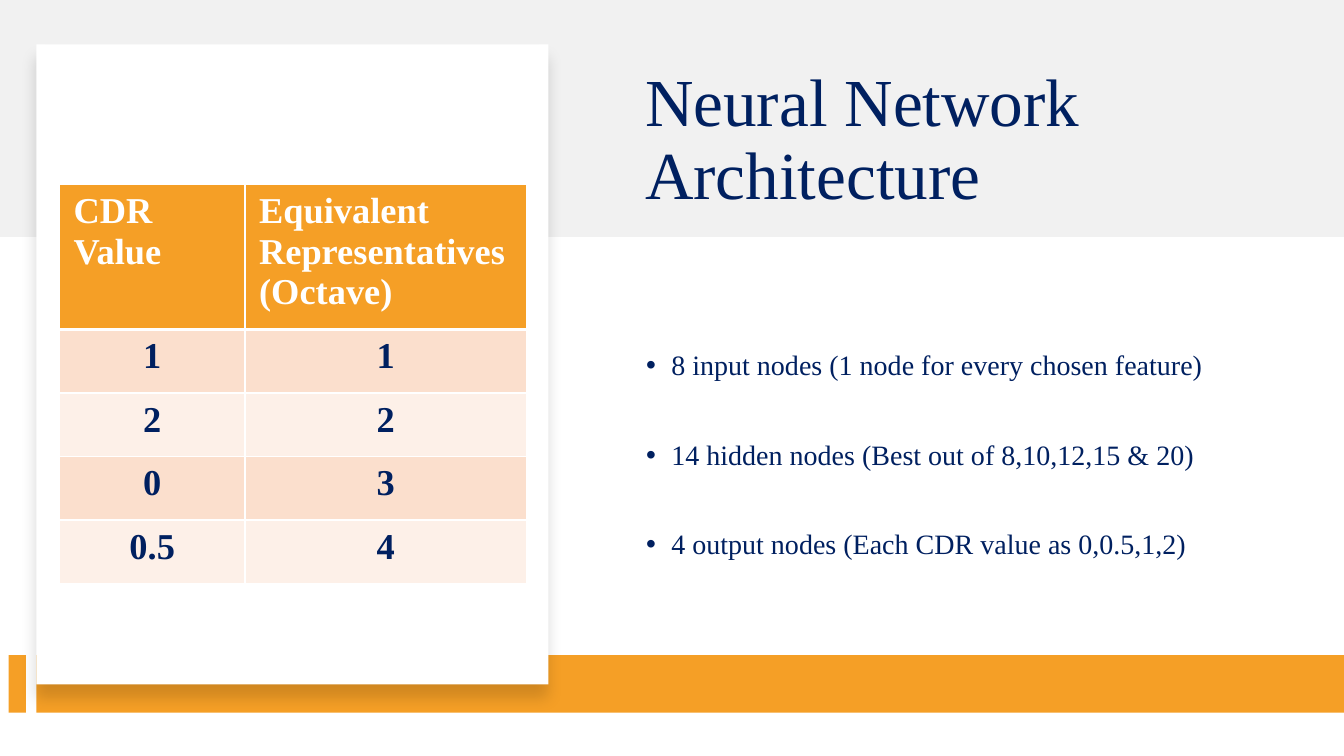
"""Build the neural network architecture slide."""
import pptx
import pptx.util
import pptx.dml.color
import pptx.enum.shapes
import pptx.enum.text
import pptx.oxml.ns
from lxml import etree

RGBColor = pptx.dml.color.RGBColor
ANCHOR = pptx.enum.text.MSO_ANCHOR
NAVY = RGBColor(0x00, 0x20, 0x60)
ORANGE = RGBColor(0xF5, 0x9F, 0x26)
PEACH = RGBColor(0xFB, 0xDF, 0xCD)
CREAM = RGBColor(0xFD, 0xF0, 0xE8)
GREY = RGBColor(0xD9, 0xD9, 0xD9)
WHITE = RGBColor(0xFF, 0xFF, 0xFF)
FONT = "Times New Roman"
WIDTH, HEIGHT = pptx.util.Inches(13.333), pptx.util.Inches(7.5)
COLUMNS = [13.8, 20.93]
ROWS = [17.73] + [8.4] * 4
CELLS = [
    ["CDR Value", "Equivalent Representatives (Octave)"],
    ["1", "1"],
    ["2", "2"],
    ["0", "3"],
    ["0.5", "4"],
]
NODES = [
    "8 input nodes (1 node for every chosen feature)",
    "14 hidden nodes (Best out of 8,10,12,15 & 20)",
    "4 output nodes (Each CDR value as 0,0.5,1,2)",
]


def across(percent):
    """Return a percentage of the slide width."""
    return round(WIDTH * percent / 100)


def down(percent):
    """Return a percentage of the slide height."""
    return round(HEIGHT * percent / 100)


def place(x, y, w, h):
    """Turn percentages into a left, top, width, height tuple."""
    return across(x), down(y), across(w), down(h)


def child(parent, tag, **attributes):
    """Append an XML element such as a:ln to a parent."""
    return etree.SubElement(parent, pptx.oxml.ns.qn(tag), attributes)


def style(p, size, color, bold=False):
    """Format the runs of a paragraph."""
    for r in p.runs:
        r.font.name = FONT
        r.font.size = pptx.util.Pt(size)
        r.font.bold = bold
        r.font.color.rgb = color


def add_panel(s, box, color):
    """Add a plain filled rectangle."""
    sp = s.shapes.add_shape(pptx.enum.shapes.MSO_SHAPE.RECTANGLE, *place(*box))
    sp.shadow.inherit = False
    sp.fill.solid()
    sp.fill.fore_color.rgb = color
    sp.line.fill.background()
    return sp


def add_shadow(sp):
    """Cast a soft shadow below a shape."""
    effects = sp._element.spPr.find(pptx.oxml.ns.qn("a:effectLst"))
    shadow = child(effects, "a:outerShdw", blurRad="139700", dist="127000",
                   dir="5400000", algn="t", rotWithShape="0")
    child(child(shadow, "a:srgbClr", val="000000"), "a:alpha", val="15000")


def add_text(s, box, lines, size, anchor, gap=0, bullet=False):
    """Add a wrapped text box with one paragraph per line."""
    tf = s.shapes.add_textbox(*place(*box)).text_frame
    tf.word_wrap = True
    tf.vertical_anchor = anchor
    for i, line in enumerate(lines):
        p = tf.add_paragraph() if i else tf.paragraphs[0]
        p.text = line
        p.line_spacing = 0.9
        p.space_before = pptx.util.Pt(gap if i else 0)
        if bullet:
            pPr = p._p.get_or_add_pPr()
            pPr.set("marL", "228600")
            pPr.set("indent", "-228600")
            child(pPr, "a:buFont", typeface="Arial")
            child(pPr, "a:buChar", char="•")
        style(p, size, NAVY)


def add_borders(cell, top, bottom):
    """Draw white borders, with top and bottom widths in points."""
    tcPr = cell._tc.get_or_add_tcPr()
    for side, width in zip("LRTB", (1, 1, top, bottom)):
        ln = child(tcPr, f"a:ln{side}", w=str(pptx.util.Pt(width)))
        child(child(ln, "a:solidFill"), "a:srgbClr", val=str(WHITE))


def fill_cell(cell, row, text):
    """Write and format one table cell."""
    add_borders(cell, 3 if row == 1 else 1, 1 if row else 3)
    cell.fill.solid()
    cell.fill.fore_color.rgb = (PEACH if row % 2 else CREAM) if row else ORANGE
    cell.margin_left = cell.margin_right = pptx.util.Inches(0.14)
    cell.margin_top = cell.margin_bottom = pptx.util.Inches(0.07)
    cell.text_frame.text = text
    p = cell.text_frame.paragraphs[0]
    if row:
        p.alignment = pptx.enum.text.PP_ALIGN.CENTER
    style(p, 26, NAVY if row else WHITE, bold=True)


def add_values(s, x, y):
    """Add the table of CDR values."""
    box = place(x, y, sum(COLUMNS), sum(ROWS))
    table = s.shapes.add_table(len(ROWS), len(COLUMNS), *box).table
    for column, share in zip(table.columns, COLUMNS):
        column.width = across(share)
    for i, share in enumerate(ROWS):
        table.rows[i].height = down(share)
        for j, text in enumerate(CELLS[i]):
            fill_cell(table.cell(i, j), i, text)


def main():
    """Build and save the slide."""
    prs = pptx.Presentation()
    prs.slide_width, prs.slide_height = WIDTH, HEIGHT
    s = prs.slides.add_slide(prs.slide_layouts[6])
    band = add_panel(s, (0, 0, 100, 31.33), GREY)
    color = band._element.spPr.find(".//" + pptx.oxml.ns.qn("a:srgbClr"))
    child(color, "a:alpha", val="35000")
    add_text(s, (47.26, 5.07, 47.94, 23.87), ["Neural Network Architecture"],
             48, ANCHOR.BOTTOM)
    add_panel(s, (0.65, 86.67, 1.28, 7.6), ORANGE)
    add_panel(s, (2.7, 86.67, 97.3, 7.6), ORANGE)
    add_shadow(add_panel(s, (2.7, 5.87, 38.1, 84.67), WHITE))
    add_text(s, (47.34, 38.27, 47.86, 44.13), NODES, 20, ANCHOR.MIDDLE,
             gap=42.5, bullet=True)
    add_values(s, 4.43, 24.4)
    prs.save("out.pptx")


if __name__ == "__main__":
    main()
